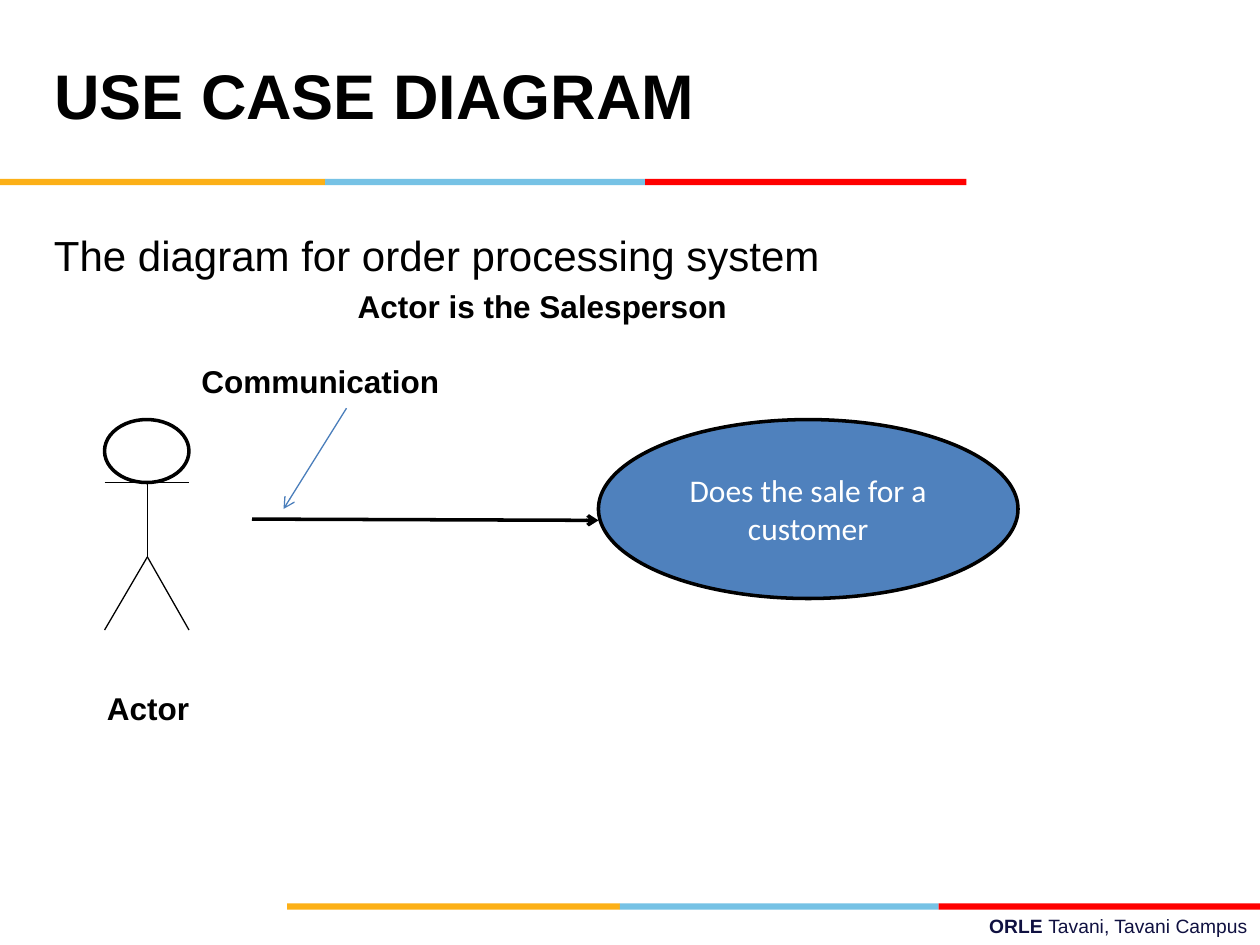
from pptx import Presentation
from pptx.dml.color import RGBColor
from pptx.enum.shapes import MSO_CONNECTOR, MSO_SHAPE
from pptx.enum.text import MSO_ANCHOR, PP_ALIGN
from pptx.oxml.ns import qn
from pptx.util import Inches, Pt
from lxml.etree import SubElement

COLORS = {
    "black": "000000", "white": "FFFFFF", "navy": "101141",
    "amber": "FCB017", "sky": "76C2E5", "red": "FF0000",
    "use_case": "4F81BD", "pointer": "4A7EBB",
}
TITLE = "USE CASE DIAGRAM"
SUBTITLE = "The diagram for order processing system"
NOTES = ["Actor is the Salesperson", "Communication"]
FOOTER = [("ORLE ", True), ("Tavani, Tavani Campus", False)]

# Each stripe: top, then the edges between its three colours
STRIPES = [(1.42, (0, 2.58, 5.12, 7.67)), (7.17, (2.28, 4.92, 7.45, 10))]
STRIPE_COLORS = ("amber", "sky", "red")

# Stick figure
LEFT, MIDDLE, RIGHT = 0.83, 1.17, 1.5
SHOULDER, HIP, FOOT = 3.83, 4.42, 5

# Start, end, colour, width in points, arrowhead
LINES = [
    ((LEFT, SHOULDER), (RIGHT, SHOULDER), "black", 0.75, False),
    ((MIDDLE, SHOULDER), (MIDDLE, HIP), "black", 0.75, False),
    ((LEFT, FOOT), (MIDDLE, HIP), "black", 0.75, False),
    ((MIDDLE, HIP), (RIGHT, FOOT), "black", 0.75, False),
    ((2.75, 3.24), (2.25, 4.04), "pointer", 0.75, True),
    ((2, 4.12), (4.75, 4.13), "black", 2, True),
]


def color(name):
    return RGBColor.from_string(COLORS[name])


def style(paragraph, size, name="black", bold=False, font="Arial"):
    paragraph.font.size = Pt(size)
    paragraph.font.name = font
    paragraph.font.bold = bold
    paragraph.font.color.rgb = color(name)


def add_text(page, area, texts, size, bold=False):
    box = page.shapes.add_textbox(*map(Inches, area))
    frame = box.text_frame
    frame.word_wrap = True
    frame.text = "\n".join(texts)
    for paragraph in frame.paragraphs:
        style(paragraph, size, bold=bold)
    return frame


def add_shape(page, kind, area, fill, outlined=False):
    shape = page.shapes.add_shape(kind, *map(Inches, area))
    shape.shadow.inherit = False
    shape.fill.solid()
    shape.fill.fore_color.rgb = color(fill)
    if outlined:
        shape.line.color.rgb = color("black")
        shape.line.width = Pt(2)
    else:
        shape.line.fill.background()
    return shape


def add_line(page, start, end, name, width, arrow):
    connector = page.shapes.add_connector(
        MSO_CONNECTOR.STRAIGHT, *map(Inches, start + end))
    connector.line.color.rgb = color(name)
    connector.line.width = Pt(width)
    if arrow:
        SubElement(connector.line._get_or_add_ln(), qn("a:tailEnd"), type="arrow")
    SubElement(connector._element.spPr, qn("a:effectLst"))


def add_title(page):
    title = page.shapes.title
    title.left, title.top, title.width, title.height = map(
        Inches, (0.33, 0.17, 6.92, 1.25))
    title.text_frame.text = TITLE
    title.text_frame.vertical_anchor = MSO_ANCHOR.MIDDLE
    paragraph = title.text_frame.paragraphs[0]
    paragraph.alignment = PP_ALIGN.LEFT
    paragraph.line_spacing = Pt(36)
    style(paragraph, 36, bold=True)


def add_footer(page):
    frame = add_text(page, (3.58, 7.21, 6.42, 0.29), [""], 11)
    paragraph = frame.paragraphs[0]
    paragraph.alignment = PP_ALIGN.RIGHT
    style(paragraph, 11, "navy")
    for text, bold in FOOTER:
        span = paragraph.add_run()
        span.text = text
        span.font.bold = bold


def add_stripes(page):
    for top, edges in STRIPES:
        for left, right, name in zip(edges, edges[1:], STRIPE_COLORS):
            add_shape(page, MSO_SHAPE.RECTANGLE, (left, top, right - left, 0.05), name)


def add_diagram(page):
    add_shape(page, MSO_SHAPE.OVAL, (LEFT, 3.33, 0.67, 0.5), "white", True)
    use_case = add_shape(page, MSO_SHAPE.OVAL, (4.75, 3.33, 3.33, 1.42), "use_case", True)
    use_case.text_frame.text = "Does the sale for a customer"
    use_case.text_frame.vertical_anchor = MSO_ANCHOR.MIDDLE
    paragraph = use_case.text_frame.paragraphs[0]
    paragraph.alignment = PP_ALIGN.CENTER
    style(paragraph, 18, "white", font="Calibri")

    salesperson, communication = add_text(
        page, (1.5, 2.23, 4.75, 1), NOTES, 18, True).paragraphs
    salesperson._p.get_or_add_pPr().set("marL", str(Inches(1.24)))
    communication.space_before = Pt(21)
    add_text(page, (0.75, 5.42, 1, 0.4), ["Actor"], 18, True)
    for line in LINES:
        add_line(page, *line)


def main():
    deck = Presentation()
    deck.slide_width, deck.slide_height = Inches(10), Inches(7.5)
    page = deck.slides.add_slide(deck.slide_layouts[5])
    add_footer(page)
    add_stripes(page)
    body = add_text(page, (0.33, 1.25, 9, 5.45), [SUBTITLE], 24)
    body.margin_top = Inches(0.57)
    add_title(page)
    add_diagram(page)
    deck.save("out.pptx")


if __name__ == "__main__":
    main()
